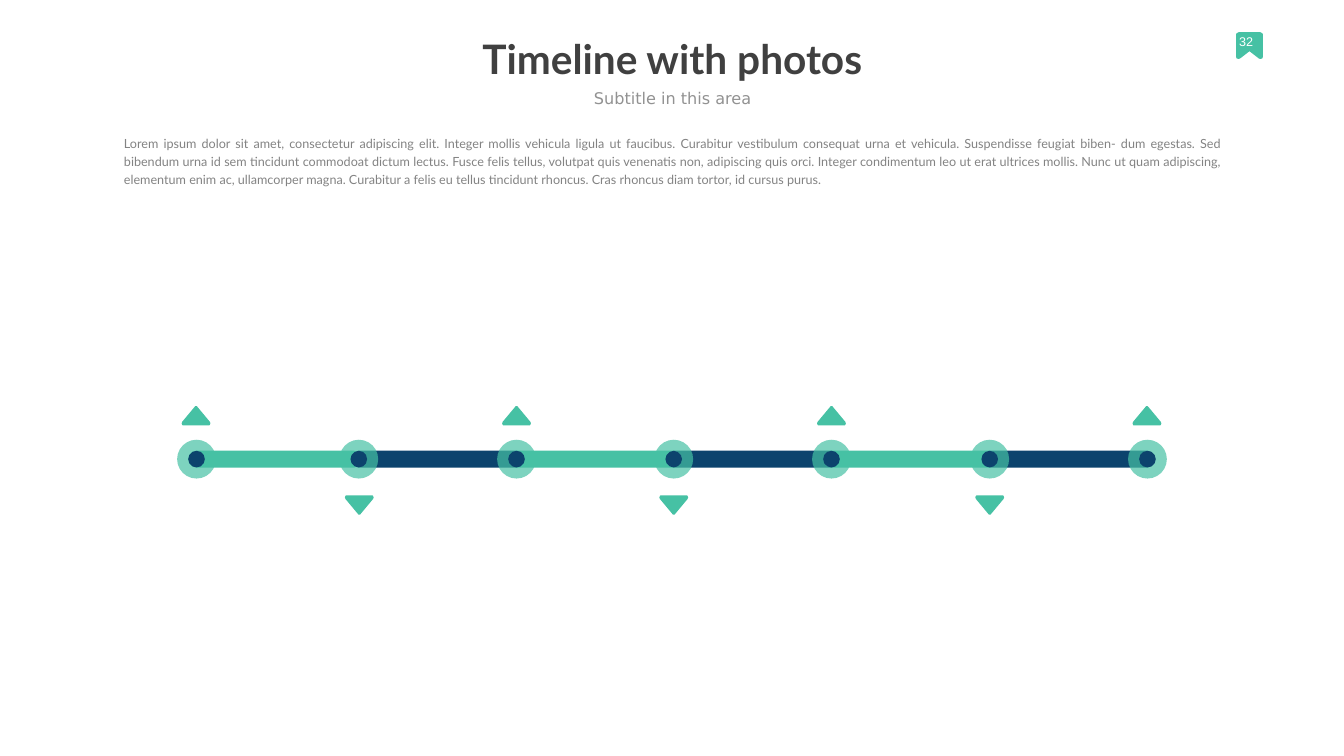
from dataclasses import dataclass
from typing import NamedTuple

from lxml.etree import SubElement
from pptx import Presentation
from pptx.dml.color import RGBColor
from pptx.enum.shapes import MSO_SHAPE as Preset
from pptx.enum.text import MSO_ANCHOR as Anchor, PP_ALIGN as Align
from pptx.oxml.ns import qn
from pptx.shapes.autoshape import Shape
from pptx.slide import Slide
from pptx.util import Inches, Pt


@dataclass(frozen=True)
class Theme:
    green: str = "46C1A4"
    navy: str = "0C436D"
    white: str = "FFFFFF"
    title: str = "404040"
    subtitle: str = "929292"
    body: str = "838383"
    heading_font: str = "Lato"
    subtitle_font: str = "DejaVu Sans"
    number_font: str = "Arial"
    title_size: int = 58
    subtitle_size: int = 23
    body_size: int = 18


class Box(NamedTuple):
    left: float
    top: float
    width: float
    height: float


class Milestone(NamedTuple):
    center: float
    pointer_center: float


@dataclass(frozen=True)
class Label:
    text: str
    box: Box
    font: str
    size: int
    color: str
    align: Align = Align.LEFT
    anchor: Anchor = Anchor.TOP
    inset: float = 0
    line_spacing: float = 1
    bold: bool = False


THEME = Theme()

MILESTONES = [
    Milestone(3.9, 3.89), Milestone(7.12, 7.13), Milestone(10.25, 10.25),
    Milestone(13.37, 13.37), Milestone(16.5, 16.5), Milestone(19.64, 19.64),
    Milestone(22.77, 22.76),
]
AXIS = 9.11
BAR_LENGTH, BAR_HEIGHT = 3.45, 0.34
RING, DOT = 0.77, 0.33
POINTER_WIDTH, POINTER_HEIGHT = 0.57, 0.38
POINTER_UP, POINTER_DOWN = 8.06, 9.83

# Left halves of the outlines, from the bottom to the top
POINTER_HALF = [(0.04, 0.38), (0.02, 0.38), (0.01, 0.37), (0, 0.34),
                (0.01, 0.31), (0.26, 0.01), (0.27, 0)]
BOOKMARK_HALF = [(0.26, 0.38), (0.08, 0.52), (0.05, 0.53), (0.01, 0.52),
                 (0, 0.49), (0, 0.04), (0.01, 0.02), (0.05, 0)]
BOOKMARK = Box(24.53, 0.64, 0.53, 0.53)

BODY = (
    "Lorem ipsum dolor sit amet, consectetur adipiscing elit. Integer mollis vehicula "
    "ligula ut faucibus. Curabitur vestibulum consequat urna et vehicula. Suspendisse "
    "feugiat biben- dum egestas. Sed bibendum urna id sem tincidunt commodoat dictum "
    "lectus. Fusce felis tellus, volutpat quis venenatis non, adipiscing quis orci. "
    "Integer condimentum leo ut erat ultrices mollis. Nunc ut quam adipiscing, elementum "
    "enim ac, ullamcorper magna. Curabitur a felis eu tellus tincidunt rhoncus. Cras "
    "rhoncus diam tortor, id cursus purus."
)
LABELS = [
    Label("32", Box(24.59, 0.67, 0.4, 0.39), THEME.number_font, THEME.body_size, THEME.white),
    Label("Timeline with photos", Box(3.61, 0.62, 19.46, 1.07), THEME.heading_font,
          THEME.title_size, THEME.title, Align.CENTER, Anchor.MIDDLE, inset=0.06, bold=True),
    Label("Subtitle in this area", Box(3.62, 1.75, 19.46, 0.39), THEME.subtitle_font,
          THEME.subtitle_size, THEME.subtitle, Align.CENTER),
    Label(BODY, Box(2.46, 2.64, 21.78, 1.04), THEME.heading_font,
          THEME.body_size, THEME.body, Align.JUSTIFY, line_spacing=1.2),
]


def paint(shape: Shape, color: str, opacity: int = 100) -> None:
    shape.shadow.inherit = False
    shape.line.fill.background()
    shape.fill.solid()
    shape.fill.fore_color.rgb = RGBColor.from_string(color)
    if opacity < 100:
        color_element = shape.fill._xPr.find(qn("a:solidFill"))[0]
        SubElement(color_element, qn("a:alpha")).set("val", str(opacity * 1000))


def add_preset(slide: Slide, preset: Preset, box: Box, color: str, opacity: int = 100) -> Shape:
    shape = slide.shapes.add_shape(preset, *map(Inches, box))
    paint(shape, color, opacity)
    return shape


def add_circle(slide: Slide, center: float, size: float, color: str, opacity: int = 100) -> None:
    box = Box(center - size / 2, AXIS - size / 2, size, size)
    add_preset(slide, Preset.OVAL, box, color, opacity)


def add_symmetric(slide: Slide, half: list[tuple[float, float]], box: Box,
                  color: str, flipped: bool = False) -> None:
    """Mirror a left half outline and place it in the box."""
    outline = half + [(box.width - x, y) for x, y in reversed(half)]
    points = [(Inches(box.left + x), Inches(box.top + (box.height - y if flipped else y)))
              for x, y in outline]
    builder = slide.shapes.build_freeform(*points[0])
    builder.add_line_segments(points[1:], close=True)
    paint(builder.convert_to_shape(), color)


def add_label(slide: Slide, label: Label) -> None:
    frame = slide.shapes.add_textbox(*map(Inches, label.box)).text_frame
    frame.word_wrap = True
    frame.vertical_anchor = label.anchor
    frame.margin_left = frame.margin_right = Inches(label.inset)
    frame.margin_top = frame.margin_bottom = Inches(label.inset)
    paragraph = frame.paragraphs[0]
    paragraph.alignment = label.align
    paragraph.line_spacing = label.line_spacing
    run = paragraph.add_run()
    run.text = label.text
    run.font.name = label.font
    run.font.size = Pt(label.size)
    run.font.bold = label.bold
    run.font.color.rgb = RGBColor.from_string(label.color)


def add_timeline(slide: Slide) -> None:
    # Bars, from right to left so that each overlaps the next
    for index in reversed(range(len(MILESTONES) - 1)):
        left = MILESTONES[index].center - DOT / 2
        box = Box(left, AXIS - BAR_HEIGHT / 2, BAR_LENGTH, BAR_HEIGHT)
        color = THEME.navy if index % 2 else THEME.green
        bar = add_preset(slide, Preset.ROUNDED_RECTANGLE, box, color)
        bar.adjustments[0] = 0.5

    # Markers and pointers, alternately above and below
    for index, milestone in enumerate(MILESTONES):
        add_circle(slide, milestone.center, RING, THEME.green, opacity=70)
        add_circle(slide, milestone.center, DOT, THEME.navy)
        below = index % 2 == 1
        box = Box(milestone.pointer_center - POINTER_WIDTH / 2,
                  POINTER_DOWN if below else POINTER_UP, POINTER_WIDTH, POINTER_HEIGHT)
        add_symmetric(slide, POINTER_HALF, box, THEME.green, flipped=below)


def main() -> None:
    presentation = Presentation()
    presentation.slide_width = Inches(26.67)
    presentation.slide_height = Inches(15)
    slide = presentation.slides.add_slide(presentation.slide_layouts[6])

    add_timeline(slide)

    # Page bookmark and text
    add_symmetric(slide, BOOKMARK_HALF, BOOKMARK, THEME.green)
    for label in LABELS:
        add_label(slide, label)

    presentation.save("out.pptx")


if __name__ == "__main__":
    main()
